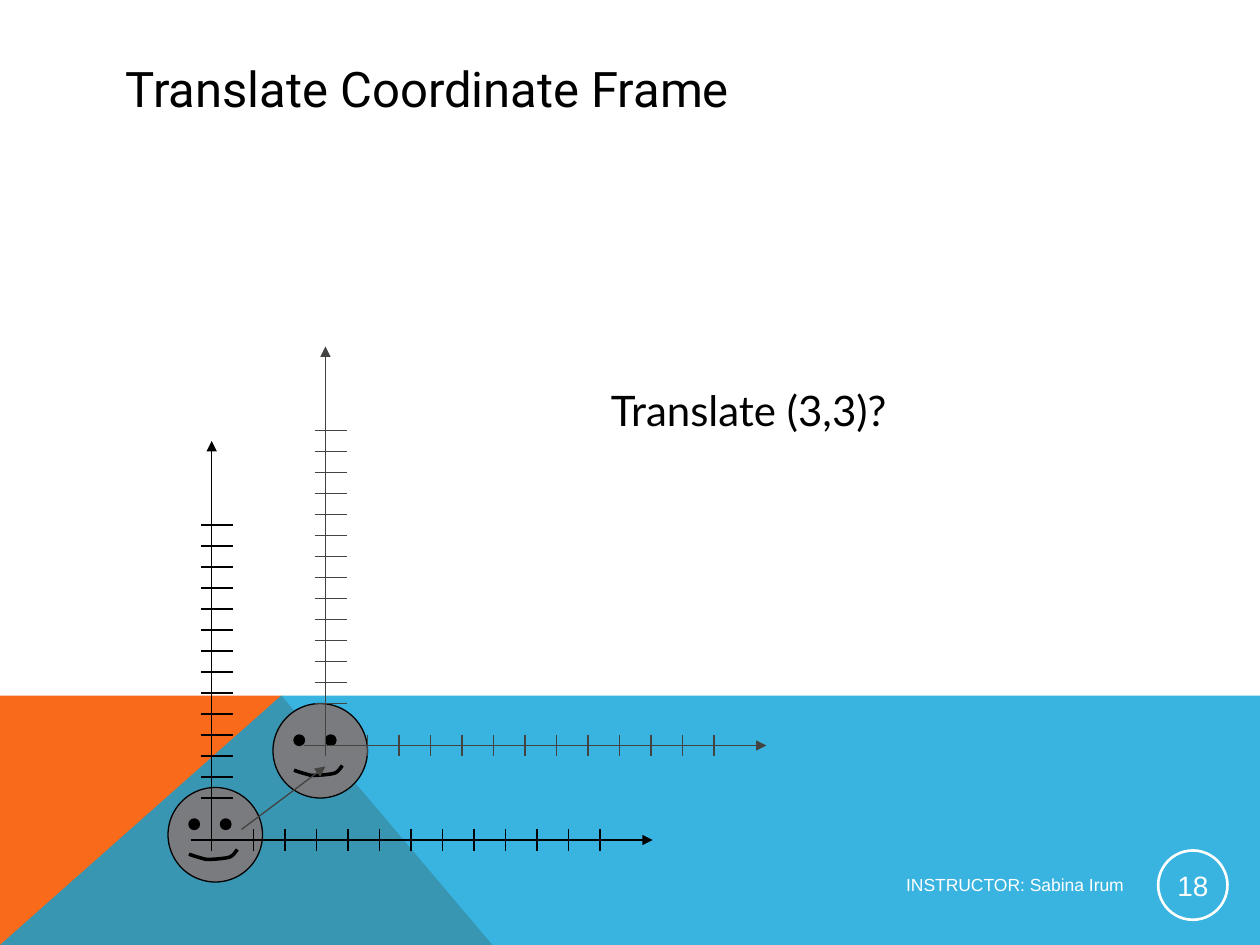
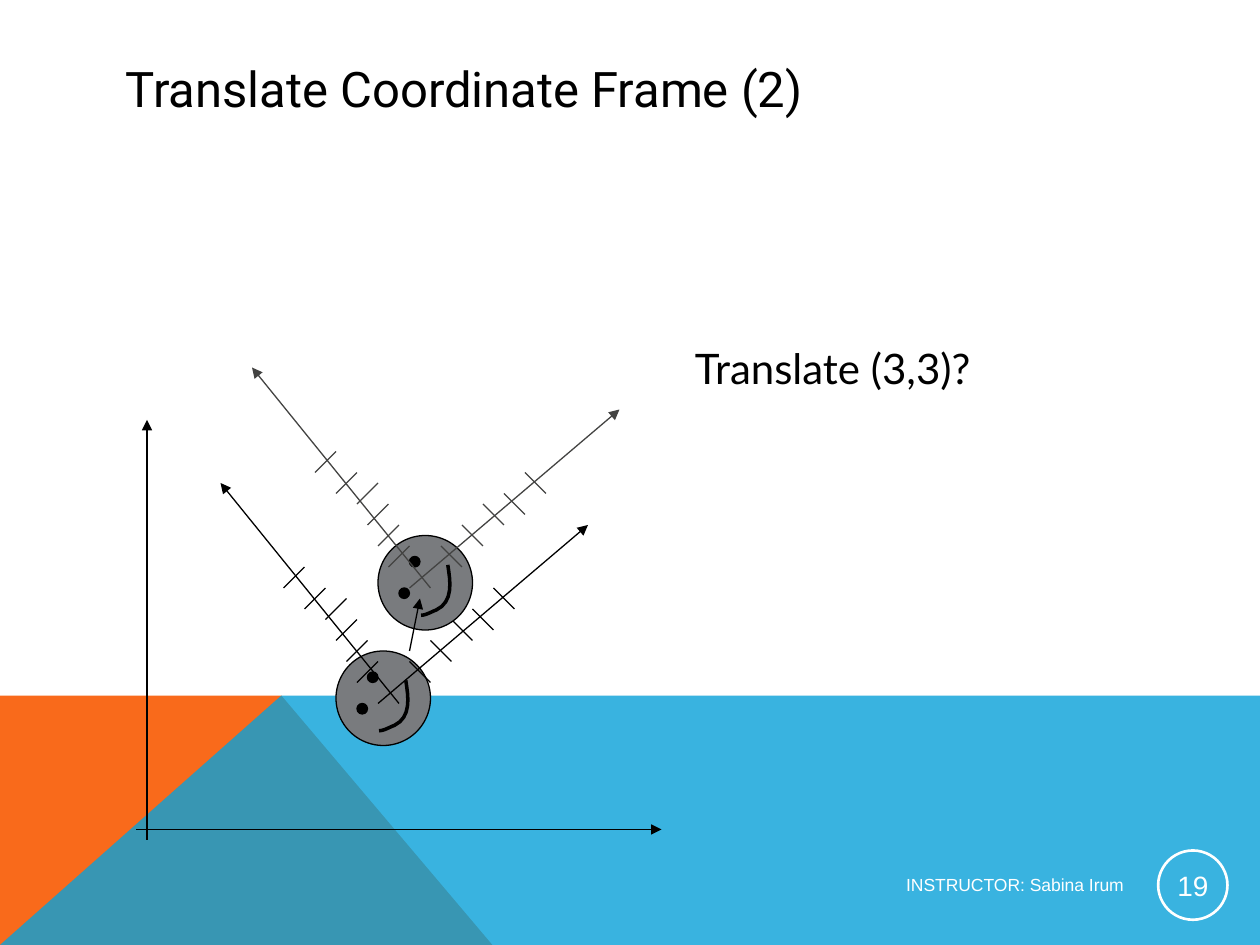
import lxml.etree
import pptx
import pptx.util
import pptx.dml.color
import pptx.enum.shapes
import pptx.enum.text
import pptx.oxml.ns

COLUMNS, ROWS = 120, 90
CELL = pptx.util.Inches(10) / COLUMNS
BLACK, WHITE, GREY, DARK = "000000", "FFFFFF", "797B7E", "434342"
ORANGE, BLUE = "F96A1B", "08A1D9"
BAND_TOP, BAND_PEAK = 66.24, 26.8
SMILE = [(2, 6.35), (2.4, 6.5), (2.75, 6.6), (3.1, 6.7), (3.4, 6.8), (3.7, 6.85), (3.7, 6.85),
         (4.3, 6.85), (4.9, 6.8), (5.6, 6.7), (5.8, 6.65), (6, 6.6), (6.1, 6.5),
         (6.4, 6.25), (6.6, 5.9), (6.6, 5.9)]
TURNED_SMILE = [(6.65, 2.8), (6.9, 4.4), (7.2, 6.3), (5.55, 7.1),
                (5.1, 7.25), (4.6, 7.6), (4.1, 7.6)]
UPRIGHT_FACE = ([(2, 3), (5, 3)], SMILE)
TURNED_FACE = ([(2, 5), (3, 2)], TURNED_SMILE)
RIGHT_TICKS = [(3, -4), (5, -6), (7, -8), (9, -9), (11, -11)]
LEFT_TICKS = [(-2, -2), (-3, -4), (-4, -6), (-5, -8), (-7, -9), (-9, -11)]


def cells(*values):
    return [round(value * CELL) for value in values]


def color(value):
    return pptx.dml.color.RGBColor.from_string(value)


def add_tag(parent, name, **attributes):
    lxml.etree.SubElement(parent, pptx.oxml.ns.qn(name), **attributes)


def paint(shape, fill=None, line=None, width=0.75):
    shape.shadow.inherit = False
    if fill:
        shape.fill.solid()
        shape.fill.fore_color.rgb = color(fill)
    else:
        shape.fill.background()
    if line:
        shape.line.color.rgb = color(line)
        shape.line.width = pptx.util.Pt(width)
    else:
        shape.line.fill.background()


def add_outline(page, points, closed):
    start, *rest = [cells(*point) for point in points]
    builder = page.shapes.build_freeform(*start)
    builder.add_line_segments(rest, close=closed)
    return builder.convert_to_shape()


def add_circle(page, left, top, size, **style):
    circle = page.shapes.add_shape(pptx.enum.shapes.MSO_SHAPE.OVAL, *cells(left, top, size, size))
    paint(circle, **style)
    return circle


def add_line(page, start, end, line, arrow=False):
    connector = page.shapes.add_connector(
        pptx.enum.shapes.MSO_CONNECTOR.STRAIGHT, *cells(*start, *end))
    connector.line.color.rgb = color(line)
    connector.line.width = pptx.util.Pt(0.75)
    properties = connector._element.spPr
    if arrow:
        add_tag(properties.find(pptx.oxml.ns.qn("a:ln")), "a:tailEnd", type="triangle")
    add_tag(properties, "a:effectLst")


def write(box, text, font, size, ink=BLACK, align="LEFT", anchor="MIDDLE", wrap=True, inset=None):
    frame = box.text_frame
    frame.word_wrap = wrap
    frame.vertical_anchor = pptx.enum.text.MSO_ANCHOR[anchor]
    if inset is not None:
        frame.margin_left = frame.margin_right = pptx.util.Inches(inset)
        frame.margin_top = frame.margin_bottom = pptx.util.Inches(inset)
    para = frame.paragraphs[0]
    para.text = text
    para.alignment = pptx.enum.text.PP_ALIGN[align]
    para.font.name = font
    para.font.size = pptx.util.Pt(size)
    para.font.color.rgb = color(ink)


def add_text(page, left, top, width, height, text, font, size, **style):
    box = page.shapes.add_textbox(*cells(left, top, width, height))
    write(box, text, font, size, **style)


def curve(points, steps=8):
    result = [points[0]]
    for first in range(0, len(points) - 1, 3):
        corners = points[first:first + 4]
        for step in range(1, steps + 1):
            t = step / steps
            weights = ((1 - t) ** 3, 3 * t * (1 - t) ** 2, 3 * t * t * (1 - t), t ** 3)
            result.append([sum(w * corner[axis] for w, corner in zip(weights, corners))
                           for axis in (0, 1)])
    return result


def add_face(page, left, top, features):
    eyes, smile = features
    add_circle(page, left, top, 9, fill=GREY, line=BLACK)
    for x, y in eyes:
        add_circle(page, left + x, top + y, 1, fill=BLACK, line=BLACK)
    mouth = add_outline(page, [(left + x, top + y) for x, y in curve(smile)], False)
    paint(mouth, line=BLACK, width=2)


def add_upright_frame(page, x, y, line):
    add_line(page, (x, y + 1), (x, y - 38), line, arrow=True)
    add_line(page, (x - 2, y), (x + 42, y), line, arrow=True)
    for tick in range(12):
        across = x + 4 + 3 * tick
        add_line(page, (across, y - 1), (across, y + 1), line)
    for tick in range(14):
        up = y - 4 - 2 * tick
        add_line(page, (x - 1, up), (x + 2, up), line)


def add_turned_frame(page, x, y, line):
    add_line(page, (x, y), (x + 20, y - 17), line, arrow=True)
    add_line(page, (x + 2, y), (x - 15, y - 21), line, arrow=True)
    for ticks, rise in ((RIGHT_TICKS, 2), (LEFT_TICKS, -2)):
        for across, down in ticks:
            add_line(page, (x + across, y + down), (x + across + 2, y + down + rise), line)


def add_backdrop(page):
    corner, peak = (0, ROWS), (BAND_PEAK, BAND_TOP)
    orange = add_outline(page, [corner, (0, BAND_TOP), peak, (46.9, ROWS)], True)
    paint(orange, fill=ORANGE)
    blue = add_outline(page, [corner, peak, (COLUMNS, BAND_TOP), (COLUMNS, ROWS)], True)
    paint(blue, fill=BLUE)
    tint = blue._element.spPr.find(".//" + pptx.oxml.ns.qn("a:srgbClr"))
    add_tag(tint, "a:alpha", val="80000")


def add_page(deck, title, number):
    page = deck.slides.add_slide(deck.slide_layouts[6])
    add_backdrop(page)
    add_text(page, 10.8, 4.8, 98.8, 7.2, title, "Roboto", 28)
    add_text(page, 46.2, 82.4, 62, 3.6, "INSTRUCTOR: Sabina Irum", "Arial", 10,
             ink=WHITE, align="RIGHT")
    badge = add_circle(page, 110.3, 81, 6.6, line=WHITE, width=1.5)
    write(badge, str(number), "Arial", 16, ink=WHITE, align="CENTER", inset=0.01)
    return page


def add_question(page, left, top):
    add_text(page, left, top, 31.7, 6, "Translate (3,3)?", "Lato", 24, anchor="TOP", wrap=False)


def add_upright_page(deck):
    page = add_page(deck, "Translate Coordinate Frame", 18)
    add_face(page, 16, 75, UPRIGHT_FACE)
    add_upright_frame(page, 20.16, 80, BLACK)
    add_question(page, 57, 36)
    add_face(page, 26, 67, UPRIGHT_FACE)
    add_upright_frame(page, 31, 71, DARK)
    add_line(page, (23, 79), (31, 73), DARK, arrow=True)


def add_turned_page(deck):
    page = add_page(deck, "Translate Coordinate Frame (2)", 19)
    add_face(page, 32, 62, TURNED_FACE)
    add_line(page, (13, 79), (63, 79), BLACK, arrow=True)
    add_line(page, (14, 80), (14, 40), BLACK, arrow=True)
    add_turned_frame(page, 36, 67, BLACK)
    add_question(page, 65, 32)
    add_face(page, 36, 51, TURNED_FACE)
    add_turned_frame(page, 39, 56, DARK)
    add_line(page, (39, 62), (40, 57), BLACK, arrow=True)


def main():
    deck = pptx.Presentation()
    deck.slide_width, deck.slide_height = cells(COLUMNS, ROWS)
    add_upright_page(deck)
    add_turned_page(deck)
    deck.save("out.pptx")


if __name__ == "__main__":
    main()
